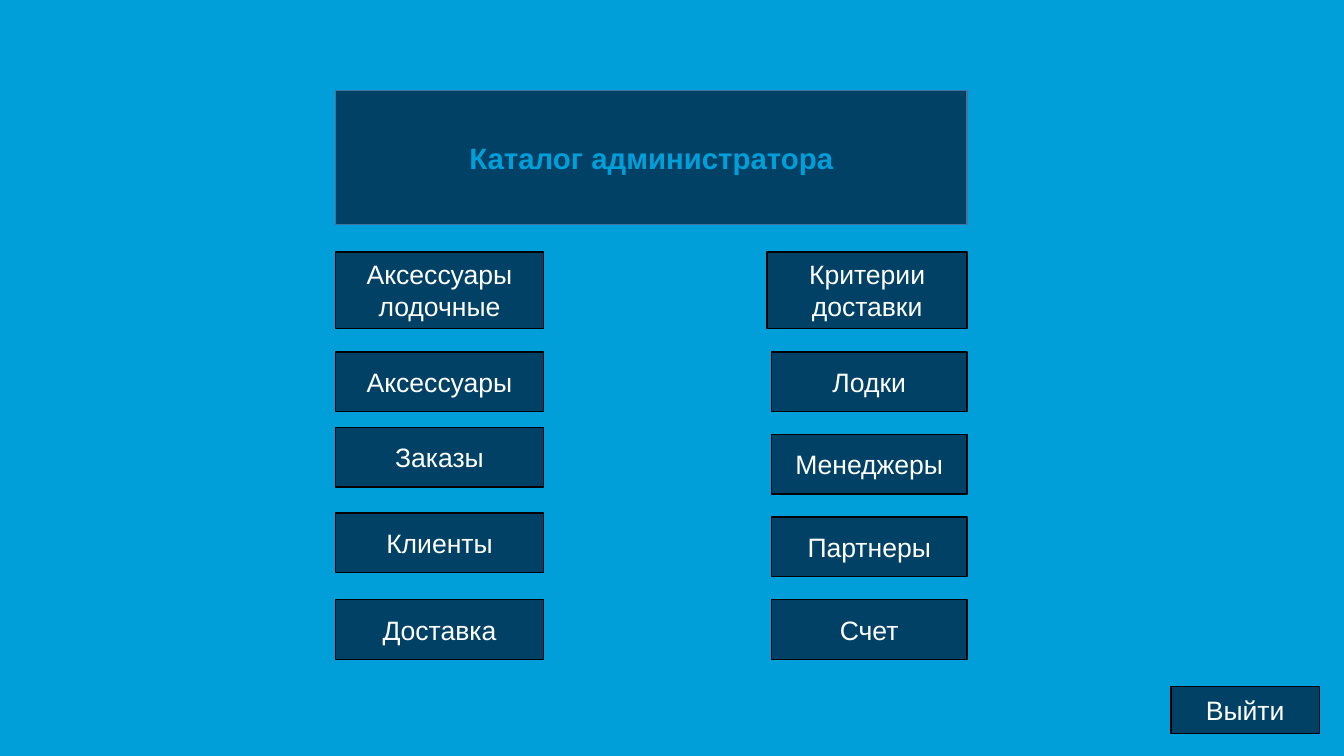
from pptx import Presentation
from pptx.dml.color import RGBColor
from pptx.enum.shapes import MSO_SHAPE
from pptx.enum.text import MSO_ANCHOR, PP_ALIGN
from pptx.util import Pt

COLORS = {
    "background": "009FDA",
    "panel": "004165",
    "outline": "000000",
    "title_outline": "43739E",
    "label": "FFFFFF",
}
BUTTON_FONT = {"name": "Arial", "size": Pt(19), "bold": False}
TITLE_FONT = {"name": "Arial", "size": Pt(21), "bold": True}

LEFT_EDGE, RIGHT_EDGE = 239.8, 690.8
LEFT_WIDTH, RIGHT_WIDTH = 148.3, 139.8
FIRST_TOP, FIRST_HEIGHT, FIRST_RIGHT_WIDTH = 180, 54.7, 142.8
ROW_TOP, ROW_STEP, ROW_HEIGHT = 251.3, 59.04, 42.5

LEFT_BUTTONS = [
    ("Аксессуары", ROW_TOP),
    ("Заказы", 305.3),
    ("Клиенты", 366.5),
    ("Доставка", ROW_TOP + 3 * ROW_STEP),
]
RIGHT_BUTTONS = ["Лодки", "Менеджеры", "Партнеры", "Счет"]


def color(key):
    return RGBColor.from_string(COLORS[key])


def add_panel(slide, text, left, top, width, height,
              font_format=BUTTON_FONT, text_color="label", outline="outline"):
    panel = slide.shapes.add_shape(
        MSO_SHAPE.RECTANGLE, Pt(left), Pt(top), Pt(width), Pt(height))
    panel.shadow.inherit = False
    panel.fill.solid()
    panel.fill.fore_color.rgb = color("panel")
    panel.line.color.rgb = color(outline)
    panel.line.width = Pt(1)

    frame = panel.text_frame
    frame.word_wrap = True
    frame.vertical_anchor = MSO_ANCHOR.MIDDLE
    paragraph = frame.paragraphs[0]
    paragraph.alignment = PP_ALIGN.CENTER
    label = paragraph.add_run()
    label.text = text
    for attribute, value in font_format.items():
        setattr(label.font, attribute, value)
    label.font.color.rgb = color(text_color)


def add_left_column(slide):
    add_panel(slide, "Аксессуары лодочные",
              LEFT_EDGE, FIRST_TOP, LEFT_WIDTH, FIRST_HEIGHT)
    for text, top in LEFT_BUTTONS:
        add_panel(slide, text, LEFT_EDGE, top, LEFT_WIDTH, ROW_HEIGHT)


def add_right_column(slide):
    """Add buttons aligned to the right edge of the title."""
    add_panel(slide, "Критерии доставки", RIGHT_EDGE - FIRST_RIGHT_WIDTH,
              FIRST_TOP, FIRST_RIGHT_WIDTH, FIRST_HEIGHT)
    for row, text in enumerate(RIGHT_BUTTONS):
        add_panel(slide, text, RIGHT_EDGE - RIGHT_WIDTH,
                  ROW_TOP + row * ROW_STEP, RIGHT_WIDTH, ROW_HEIGHT)


def main():
    presentation = Presentation()
    presentation.slide_width = Pt(960)
    presentation.slide_height = Pt(540)
    slide = presentation.slides.add_slide(presentation.slide_layouts[6])
    slide.background.fill.solid()
    slide.background.fill.fore_color.rgb = color("background")

    add_panel(slide, "Каталог администратора",
              LEFT_EDGE, 64.8, RIGHT_EDGE - LEFT_EDGE, 95.5,
              TITLE_FONT, "background", "title_outline")
    add_left_column(slide)
    add_right_column(slide)
    add_panel(slide, "Выйти", 836.6, 490.3, 105.8, 33.5)
    presentation.save("out.pptx")


if __name__ == "__main__":
    main()
